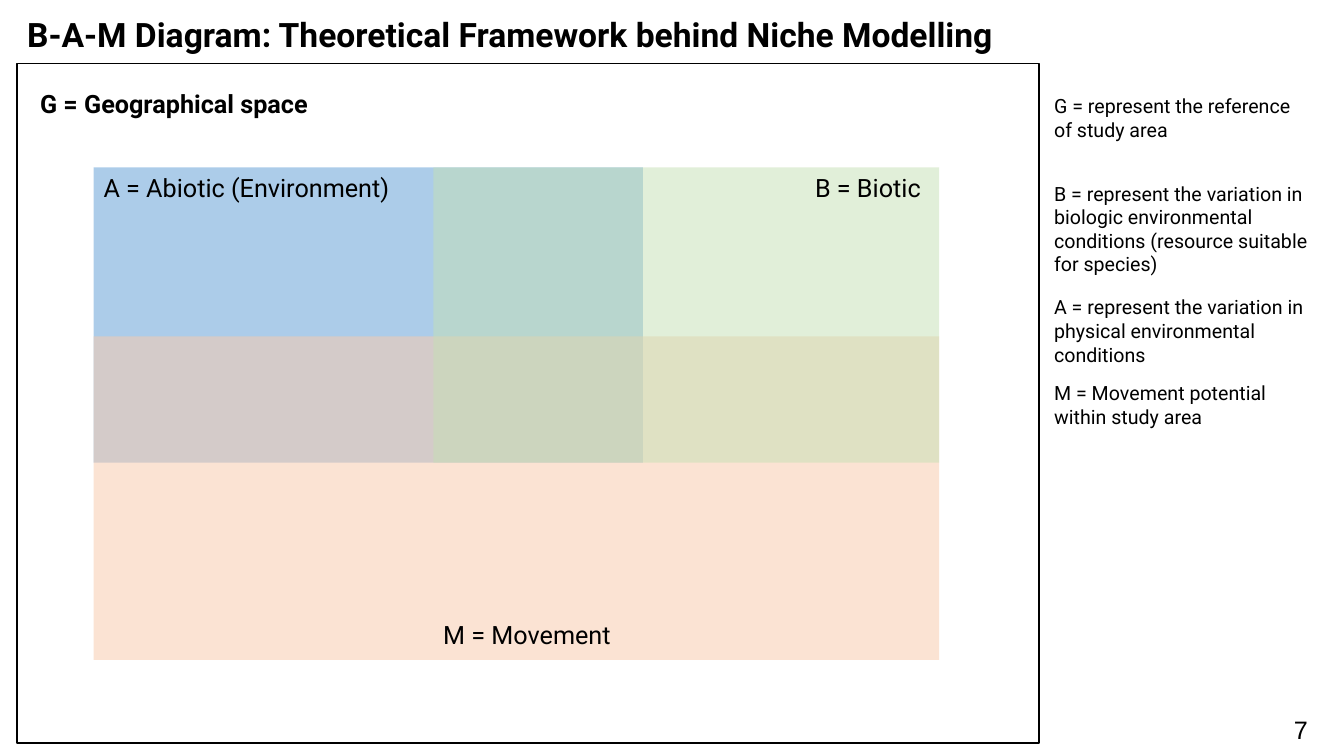
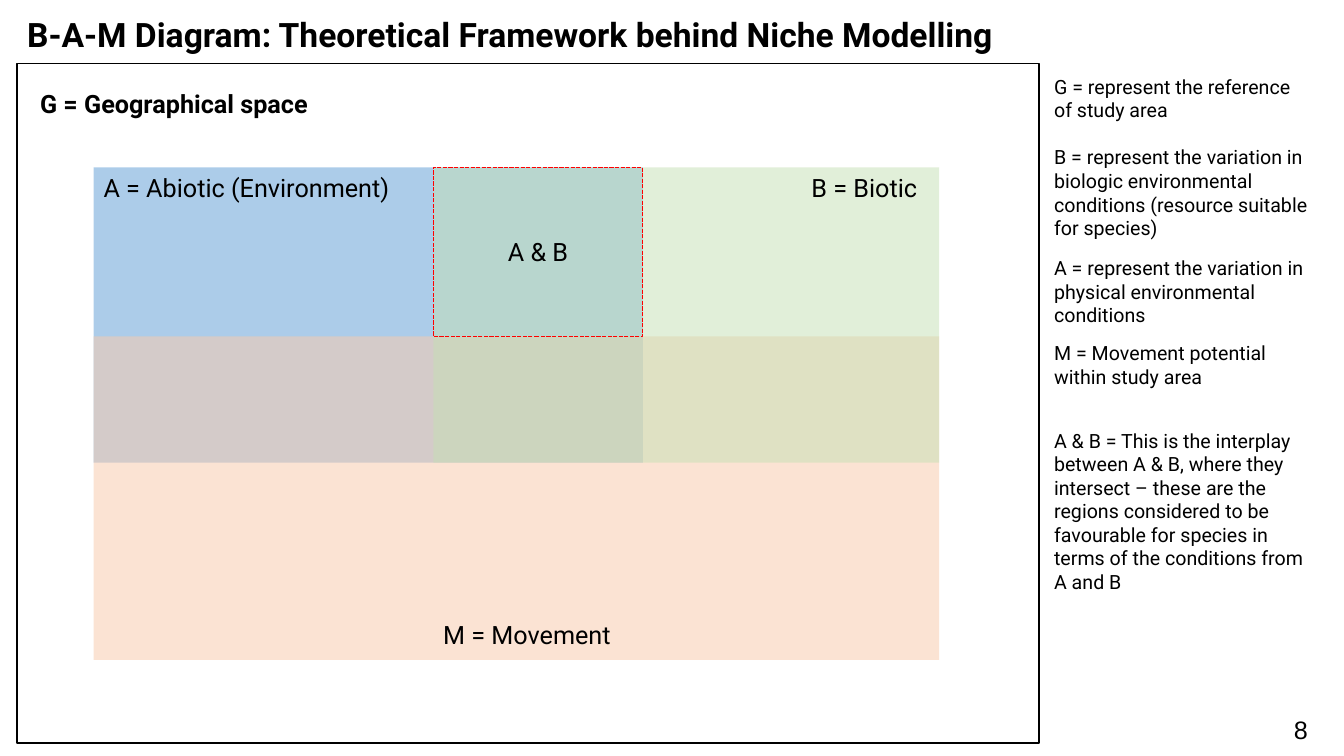
import dataclasses

import lxml.etree
import pptx
import pptx.dml.color
import pptx.enum.dml
import pptx.enum.shapes
import pptx.enum.text
import pptx.oxml.ns
import pptx.util

Cm = pptx.util.Cm
Pt = pptx.util.Pt


@dataclasses.dataclass(frozen=True)
class Theme:
    text: str = "000000"
    frame: str = "000000"
    highlight: str = "FF0000"
    abiotic: str = "5B9BD5"
    movement: str = "F8CBAD"
    biotic: str = "C5E0B4"
    font: str = "Roboto"
    number_font: str = "Arial"
    title_size: int = 24
    label_size: int = 18
    legend_size: int = 14
    line_width: int = 1


@dataclasses.dataclass(frozen=True)
class Box:
    """A rectangle in centimetres."""
    left: float
    top: float
    width: float
    height: float

    def inside(self, left, top, width, height):
        return Box(self.left + left, self.top + top, width, height)


THEME = Theme()
TITLE = "B-A-M Diagram: Theoretical Framework behind Niche Modelling"
TITLE_BOX = Box(0.43, 0.33, 27.18, 1.8)
FRAME_BOX = Box(0.43, 1.6, 25.76, 17.12)
NUMBER_BOX = Box(32.36, 17.88, 1.5, 0.41)
LEGEND_LEFT, LEGEND_WIDTH = 26.31, 6.97
LABEL_HEIGHT = 1.03

DEFINITIONS = [
    "G = represent the reference of study area",
    "B = represent the variation in biologic environmental conditions "
    "(resource suitable for species)",
    "A = represent the variation in physical environmental conditions",
    "M = Movement potential within study area",
]
INTERPLAY = (
    "A & B = This is the interplay between A & B, where they intersect – these are "
    "the regions considered to be favourable for species in terms of the conditions "
    "from A and B"
)


# Shared helpers
def rgb(value):
    return pptx.dml.color.RGBColor.from_string(value)


def place(shape, box):
    shape.left, shape.top = Cm(box.left), Cm(box.top)
    shape.width, shape.height = Cm(box.width), Cm(box.height)


def format_paragraph(paragraph, size, bold=False, font=THEME.font, align="LEFT"):
    paragraph.alignment = getattr(pptx.enum.text.PP_ALIGN, align)
    paragraph.font.name = font
    paragraph.font.size = Pt(size)
    paragraph.font.bold = bold
    paragraph.font.color.rgb = rgb(THEME.text)


def prepare_frame(text_frame):
    text_frame.word_wrap = True
    text_frame.auto_size = pptx.enum.text.MSO_AUTO_SIZE.NONE
    text_frame.vertical_anchor = pptx.enum.text.MSO_ANCHOR.TOP


def add_label(slide, box, text, **style):
    label = slide.shapes.add_textbox(
        Cm(box.left), Cm(box.top), Cm(box.width), Cm(box.height))
    prepare_frame(label.text_frame)
    label.text_frame.text = text
    format_paragraph(label.text_frame.paragraphs[0], THEME.label_size, **style)


def add_rectangle(slide, box, fill=None, opacity=100, line=None, dash=None):
    shape = slide.shapes.add_shape(
        pptx.enum.shapes.MSO_SHAPE.RECTANGLE,
        Cm(box.left), Cm(box.top), Cm(box.width), Cm(box.height))
    shape.shadow.inherit = False
    if fill:
        shape.fill.solid()
        shape.fill.fore_color.rgb = rgb(fill)
        color = shape.element.find(".//" + pptx.oxml.ns.qn("a:srgbClr"))
        alpha = lxml.etree.SubElement(color, pptx.oxml.ns.qn("a:alpha"))
        alpha.set("val", str(opacity * 1000))
    else:
        shape.fill.background()
    if line:
        shape.line.color.rgb = rgb(line)
        shape.line.width = Pt(THEME.line_width)
        if dash:
            shape.line.dash_style = dash
    else:
        shape.line.fill.background()


# Regions of the slide
def fill_title(slide, box):
    title = slide.shapes.title
    place(title, box)
    prepare_frame(title.text_frame)
    title.text_frame.text = TITLE
    paragraph = title.text_frame.paragraphs[0]
    paragraph.line_spacing = 0.9
    format_paragraph(paragraph, THEME.title_size, bold=True)


def fill_legend(slide, box, definitions, gaps):
    legend = slide.placeholders[1]
    place(legend, box)
    text_frame = legend.text_frame
    prepare_frame(text_frame)
    text_frame.text = "\n".join(definitions)
    for paragraph, gap in zip(text_frame.paragraphs, [0, *gaps]):
        properties = paragraph._p.get_or_add_pPr()
        properties.set("marL", "0")
        properties.set("indent", "0")
        lxml.etree.SubElement(properties, pptx.oxml.ns.qn("a:buNone"))
        paragraph.space_before = Pt(gap)
        format_paragraph(paragraph, THEME.legend_size)


def draw_diagram(slide, box, biotic_label_left, show_overlap):
    # Geographical space
    add_rectangle(slide, box, line=THEME.frame)
    add_label(slide, box.inside(0.33, 0.51, 8.31, LABEL_HEIGHT),
              "G = Geographical space", bold=True)

    # Overlapping conditions
    area = box.inside(1.93, 2.62, 21.31, 12.41)
    abiotic = area.inside(0, 0, 13.84, 7.44)
    movement = area.inside(0, 4.26, area.width, area.height - 4.26)
    biotic = area.inside(8.56, 0, area.width - 8.56, abiotic.height)
    add_rectangle(slide, abiotic, THEME.abiotic, 50)
    add_rectangle(slide, movement, THEME.movement, 53)
    add_rectangle(slide, biotic, THEME.biotic, 50)

    # Names of the conditions
    overlap = Box(biotic.left, biotic.top,
                  abiotic.left + abiotic.width - biotic.left,
                  movement.top - biotic.top)
    add_label(slide, abiotic.inside(0, 0, 7.87, LABEL_HEIGHT), "A = Abiotic (Environment)")
    add_label(slide, biotic.inside(biotic_label_left, 0, 3.45, LABEL_HEIGHT), "B = Biotic")
    add_label(slide, Box(overlap.left, movement.top + 6.99, overlap.width, LABEL_HEIGHT),
              "M = Movement")

    # Intersection of A and B
    if show_overlap:
        add_rectangle(slide, overlap, line=THEME.highlight,
                      dash=pptx.enum.dml.MSO_LINE.SQUARE_DOT)
        add_label(slide,
                  overlap.inside(0, (overlap.height - LABEL_HEIGHT) / 2,
                                 overlap.width, LABEL_HEIGHT),
                  "A & B", align="CENTER")


def add_framework_slide(presentation, number, definitions, gaps, legend_top,
                        biotic_label_left, show_overlap=False):
    slide = presentation.slides.add_slide(presentation.slide_layouts[1])
    fill_title(slide, TITLE_BOX)
    draw_diagram(slide, FRAME_BOX, biotic_label_left, show_overlap)
    fill_legend(slide, Box(LEGEND_LEFT, legend_top, LEGEND_WIDTH, 14),
                definitions, gaps)
    add_label(slide, NUMBER_BOX, str(number), font=THEME.number_font)


def main():
    presentation = pptx.Presentation()
    presentation.slide_width = Cm(33.87)
    presentation.slide_height = Cm(19.05)
    add_framework_slide(presentation, 7, DEFINITIONS, [29, 14, 11],
                        legend_top=2.24, biotic_label_left=9.37)
    add_framework_slide(presentation, 8, [*DEFINITIONS, INTERPLAY], [17, 12, 10, 29],
                        legend_top=1.75, biotic_label_left=9.28, show_overlap=True)
    presentation.save("out.pptx")


if __name__ == "__main__":
    main()
